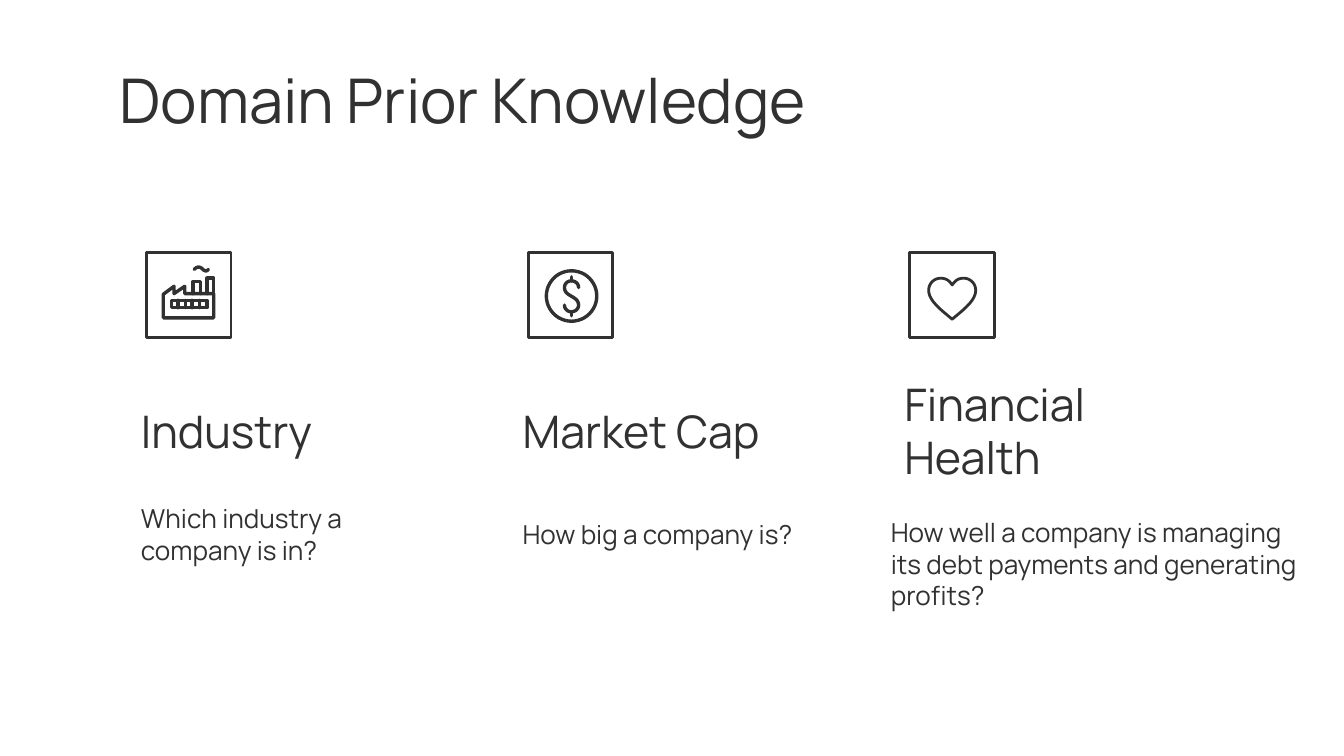
from pptx import Presentation
from pptx import util as u
from pptx.dml.color import RGBColor
from pptx.enum import shapes, text
from pptx.oxml.ns import qn

PX = 4572  # 200 px to the inch
INK = "313131"
FONT = "Manrope"


def color(value):
    return RGBColor.from_string(value)


def curve(start, *segments, steps=12):
    """Points along joined cubic Bezier segments."""
    points = [start]
    for first, second, end in segments:
        origin = points[-1]
        for step in range(1, steps + 1):
            t = step / steps
            points.append(tuple(
                (1 - t) ** 3 * a + 3 * t * (1 - t) ** 2 * b + 3 * t * t * (1 - t) * c + t ** 3 * d
                for a, b, c, d in zip(origin, first, second, end)))
    return points


class Painter:
    def __init__(self, page):
        self.page = page

    def stroke(self, shape, width):
        shape.shadow.inherit = False
        shape.fill.background()
        shape.line.color.rgb = color(INK)
        shape.line.width = u.Pt(width)

    def outline(self, kind, left, top, width, height, weight):
        shape = self.page.shapes.add_shape(kind, left * PX, top * PX, width * PX, height * PX)
        self.stroke(shape, weight)

    def drawing(self, left, top, strands, weight, close=False):
        """One freeform of several strands, placed relative to left and top."""
        strands = [[((left + x) * PX, (top + y) * PX) for x, y in strand] for strand in strands]
        builder = self.page.shapes.build_freeform(*strands[0][0])
        builder.add_line_segments(strands[0][1:], close=close)
        for strand in strands[1:]:
            builder.move_to(*strand[0])
            builder.add_line_segments(strand[1:], close=close)
        shape = builder.convert_to_shape()
        self.stroke(shape, weight)
        line = shape.line._get_or_add_ln()
        line.set("cap", "rnd")
        line.append(line.makeelement(qn("a:round"), {}))

    def label(self, words, left, top, width, height, size):
        box = self.page.shapes.add_textbox(left * PX, top * PX, width * PX, height * PX)
        frame = box.text_frame
        frame.word_wrap = True
        frame.vertical_anchor = text.MSO_ANCHOR.MIDDLE
        frame.margin_left = frame.margin_right = frame.margin_top = frame.margin_bottom = 20 * PX
        para = frame.paragraphs[0]
        para.text = words
        para.font.name = FONT
        para.font.size = u.Pt(size)
        para.font.color.rgb = color(INK)


def factory(painter, left, top):
    hall = [(25, 97), (25, 62), (41, 50), (41, 61), (57, 50), (57, 61), (100, 61), (100, 97)]
    window = [(37, 71), (90, 71), (90, 82), (37, 82)]
    painter.drawing(left, top, [hall, window], 1.8, close=True)
    chimneys = [[(a, 61), (a, y), (b, y), (b, 61)] for a, b, y in ((69, 80, 43), (90, 100, 38))]
    bars = [[(37 + 53 * i // 5, 71), (37 + 53 * i // 5, 82)] for i in range(1, 5)]
    smoke = curve((71, 25), ((77, 19), (81, 22), (84, 25)), ((87, 28), (90, 28), (92, 25)))
    painter.drawing(left, top, chimneys + bars + [smoke], 1.8)


def coin(painter, left, top):
    painter.outline(shapes.MSO_SHAPE.OVAL, left + 27, top + 27, 75, 75, 1.8)
    sign = curve((75, 52), ((75, 46), (70, 42), (64, 42)), ((59, 42), (54, 46), (54, 52)),
                 ((54, 66), (75, 64), (75, 78)), ((75, 84), (70, 88), (64, 88)),
                 ((59, 88), (54, 84), (54, 78)))
    painter.drawing(left, top, [sign, [(64, 36), (64, 42)], [(64, 88), (64, 94)]], 1.8)


def heart(painter, left, top):
    half = curve((63, 48), ((59, 42), (54, 38), (46, 38)), ((36, 38), (28, 46), (28, 56)),
                 ((28, 71), (45, 84), (63, 99)))
    mirrored = [(126 - x, y) for x, y in reversed(half)]
    painter.drawing(left, top, [half + mirrored[1:-1]], 1.5, close=True)


def main():
    deck = Presentation()
    deck.slide_width, deck.slide_height = 2000 * PX, 1125 * PX
    painter = Painter(deck.slides.add_slide(deck.slide_layouts[6]))

    # Title
    painter.label("Domain Prior Knowledge", 158, 84, 1388, 126, 33)

    # Columns: icon, heading, heading width, question, question place
    columns = [
        (factory, "Industry", 482, "Which industry a company is in?", (190, 742, 482)),
        (coin, "Market Cap", 396, "How big a company is?", (758, 742, 548)),
        (heart, "Financial Health", 482,
         "How well a company is managing its debt payments and generating profits?",
         (1306, 786, 674)),
    ]
    for index, (icon, heading, width, question, place) in enumerate(columns):
        left = 190 + 568 * index
        painter.outline(shapes.MSO_SHAPE.RECTANGLE, left + 28, 376, 126, 126, 1.5)
        icon(painter, left + 28, 376)
        painter.label(heading, left, 548, width, 184, 24)
        painter.label(question, *place, 106, 14)

    deck.save("out.pptx")


if __name__ == "__main__":
    main()
